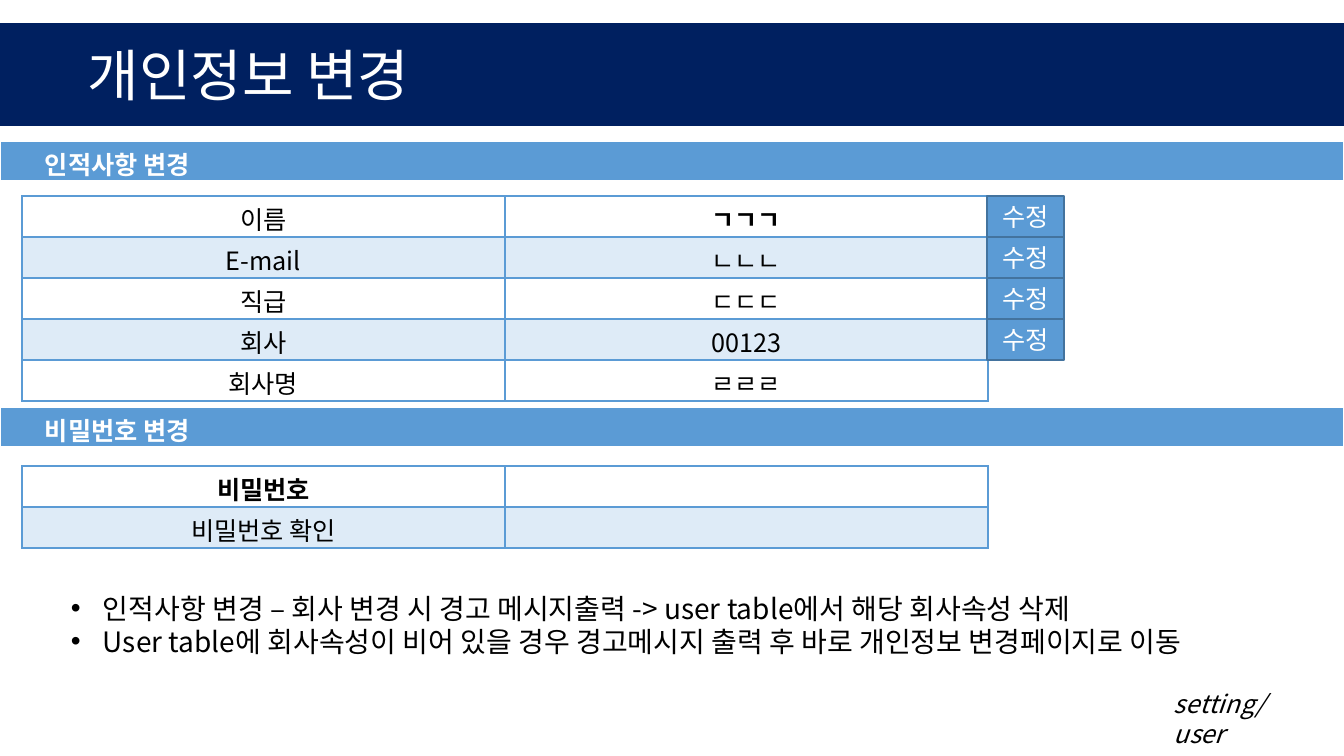
from dataclasses import dataclass

from pptx import Presentation
from pptx.dml.color import RGBColor
from pptx.enum.shapes import MSO_SHAPE as Shape
from pptx.enum.text import MSO_ANCHOR as Anchor, MSO_AUTO_SIZE as AutoSize, PP_ALIGN as Align
from pptx.oxml import parse_xml
from pptx.oxml.ns import nsdecls, qn
from pptx.util import Emu, Pt
from lxml.etree import SubElement

NAVY = RGBColor(0x00, 0x20, 0x60)
BLUE = RGBColor(0x5B, 0x9B, 0xD5)
PALE_BLUE = RGBColor(0xDE, 0xEB, 0xF7)
EDGE_BLUE = RGBColor(0x43, 0x73, 0x9E)
WHITE = RGBColor(0xFF, 0xFF, 0xFF)
BLACK = RGBColor(0x00, 0x00, 0x00)
FONT = "Noto Sans CJK KR"

SLIDE_W, SLIDE_H = 1344, 756
ROW_H = 41
FORM_LEFT, FORM_COL_W = 22, 483
FORM_TOP = 196


def px(length: int) -> Emu:
    return Emu(round(length * 12192000 / SLIDE_W))


@dataclass
class Grid:
    left: int
    top: int
    col_width: int
    rows: list[list[str]]
    border: RGBColor
    fills: tuple[RGBColor, ...]
    color: RGBColor = BLACK
    align: Align = Align.CENTER
    margin_left: int = 10
    bold: tuple[str, ...] = ()
    first_rule: float = 1


def place(left: int, top: int, width: int, height: int) -> tuple[Emu, ...]:
    return px(left), px(top), px(width), px(height)


def write(paragraph, text: str, size: int, color: RGBColor, **formats) -> None:
    run = paragraph.add_run()
    run.text = text
    run.font.color.rgb = color
    for name, value in {"name": FONT, "size": Pt(size), **formats}.items():
        setattr(run.font, name, value)
    SubElement(run.font._element, qn("a:ea"), typeface=FONT)


def set_borders(cell, color: RGBColor, bottom: float) -> None:
    widths = {"lnL": 1, "lnR": 1, "lnT": 1, "lnB": bottom}
    for index, (side, width) in enumerate(widths.items()):
        cell._tc.get_or_add_tcPr().insert(index, parse_xml(
            f'<a:{side} {nsdecls("a")} w="{Pt(width)}"><a:solidFill>'
            f'<a:srgbClr val="{color}"/></a:solidFill></a:{side}>'))


def draw_grid(slide, grid: Grid) -> None:
    columns = len(grid.rows[0])
    table = slide.shapes.add_table(
        len(grid.rows), columns,
        *place(grid.left, grid.top, grid.col_width * columns, ROW_H * len(grid.rows))).table
    table.first_row = table.horz_banding = False
    for r, texts in enumerate(grid.rows):
        for c, text in enumerate(texts):
            cell = table.cell(r, c)
            cell.fill.solid()
            cell.fill.fore_color.rgb = grid.fills[r % len(grid.fills)]
            margins = {"margin_left": px(grid.margin_left),
                       "margin_top": px(4), "margin_bottom": 0}
            for name, value in margins.items():
                setattr(cell, name, value)
            set_borders(cell, grid.border, grid.first_rule if r == 0 else 1)
            if text:
                paragraph = cell.text_frame.paragraphs[0]
                paragraph.alignment = grid.align
                write(paragraph, text, 18, grid.color, bold=text in grid.bold)


def section_bar(top: int, heading: str) -> Grid:
    return Grid(0, top, SLIDE_W, [[heading]], WHITE, (BLUE,), WHITE, Align.LEFT,
                45, (heading,), 3)


def form(top: int, rows: list[list[str]], bold: str, first_rule: float = 1) -> Grid:
    return Grid(FORM_LEFT, top, FORM_COL_W, rows, BLUE, (WHITE, PALE_BLUE),
                bold=(bold,), first_rule=first_rule)


def draw_title(slide, text: str) -> None:
    title = slide.shapes.title
    title.left, title.top, title.width, title.height = place(0, 23, SLIDE_W, 103)
    title.fill.solid()
    title.fill.fore_color.rgb = NAVY
    frame = title.text_frame
    settings = {"auto_size": AutoSize.NONE, "vertical_anchor": Anchor.MIDDLE,
                "margin_left": px(88)}
    for name, value in settings.items():
        setattr(frame, name, value)
    frame.paragraphs[0].alignment = Align.LEFT
    write(frame.paragraphs[0], text, 40, WHITE)


def draw_edit_button(slide, top: int) -> None:
    button = slide.shapes.add_shape(Shape.RECTANGLE, *place(987, top, 77, ROW_H))
    button.shadow.inherit = False
    button.fill.solid()
    button.fill.fore_color.rgb = BLUE
    button.line.color.rgb = EDGE_BLUE
    button.line.width = Pt(1)
    button.text_frame.vertical_anchor = Anchor.MIDDLE
    label = button.text_frame.paragraphs[0]
    label.alignment = Align.CENTER
    write(label, "수정", 18, WHITE)


def add_text_area(slide, left: int, top: int, width: int, height: int):
    frame = slide.shapes.add_textbox(*place(left, top, width, height)).text_frame
    frame.word_wrap = True
    return frame


def draw_notes(slide, notes: list[str]) -> None:
    frame = add_text_area(slide, 11, 587, 1295, 90)
    for index, note in enumerate(notes):
        paragraph = frame.add_paragraph() if index else frame.paragraphs[0]
        paragraph.line_spacing = Pt(23.6)
        properties = paragraph._p.get_or_add_pPr()
        properties.set("marL", str(px(82)))
        properties.set("indent", str(-px(32)))
        SubElement(properties, qn("a:buFont"), typeface="Arial")
        SubElement(properties, qn("a:buChar"), char="•")
        write(paragraph, note, 20, BLACK)


def main() -> None:
    deck = Presentation()
    deck.slide_width, deck.slide_height = px(SLIDE_W), px(SLIDE_H)
    slide = deck.slides.add_slide(deck.slide_layouts[5])
    draw_title(slide, "개인정보 변경")

    # Section bars and forms
    profile_rows = [["이름", "ㄱㄱㄱ"], ["E-mail", "ㄴㄴㄴ"], ["직급", "ㄷㄷㄷ"],
                    ["회사", "00123"], ["회사명", "ㄹㄹㄹ"]]
    password_rows = [["비밀번호", ""], ["비밀번호 확인", ""]]
    for grid in (form(FORM_TOP, profile_rows, "ㄱㄱㄱ"),
                 section_bar(141, "인적사항 변경"),
                 form(466, password_rows, "비밀번호", 2),
                 section_bar(407, "비밀번호 변경")):
        draw_grid(slide, grid)

    # Edit buttons beside the first four rows
    for row in range(4):
        draw_edit_button(slide, FORM_TOP + row * ROW_H)

    # Behaviour notes
    draw_notes(slide, [
        "인적사항 변경 – 회사 변경 시 경고 메시지출력 -> user table에서 해당 회사속성 삭제",
        "User table에 회사속성이 비어 있을 경우 경고메시지 출력 후 바로 개인정보 변경페이지로 이동"])

    # Page route
    route = add_text_area(slide, 1164, 684, 157, 40).paragraphs[0]
    route.line_spacing = Pt(21.2)
    write(route, "setting/user", 18, BLACK, italic=True)

    deck.save("out.pptx")


if __name__ == "__main__":
    main()
